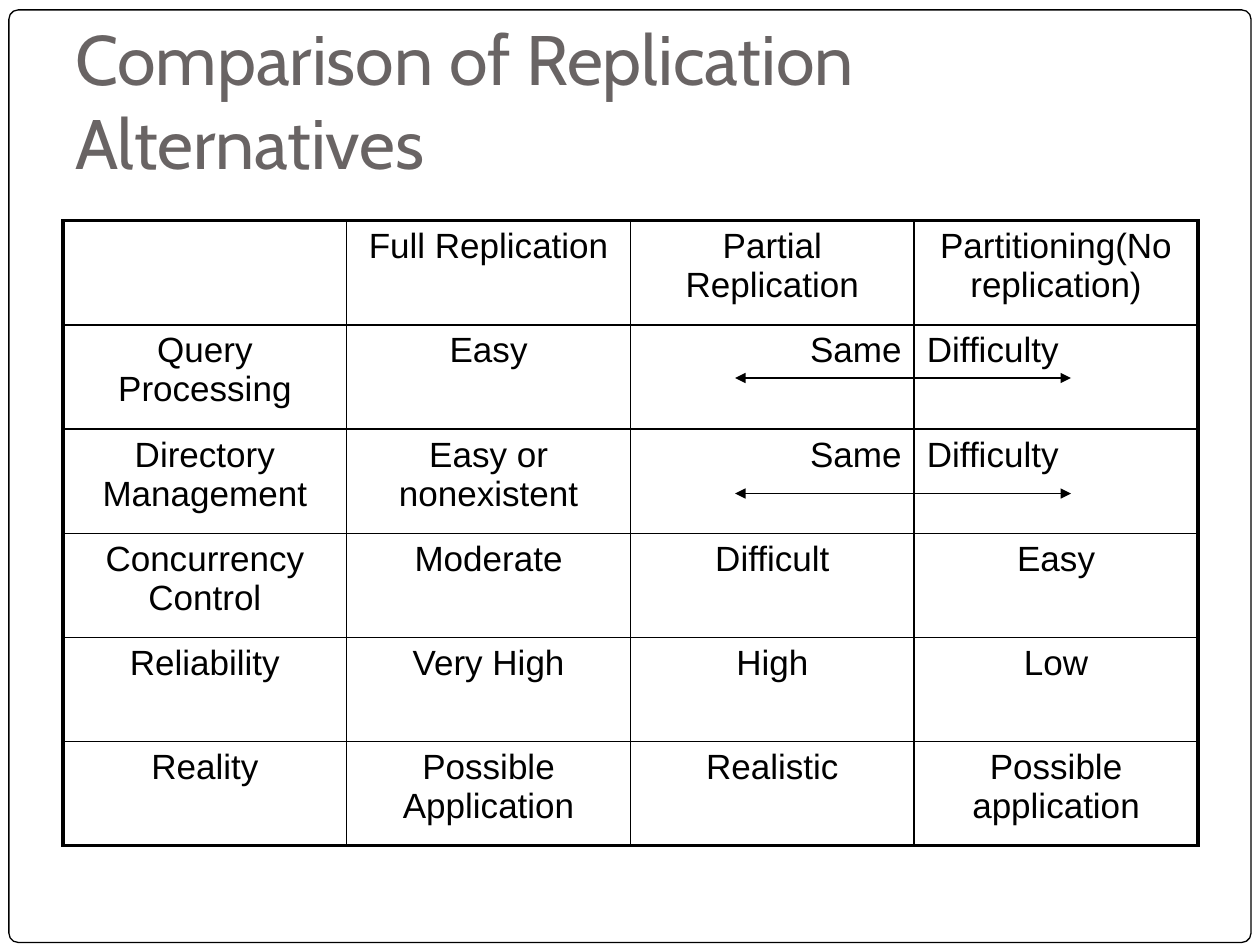
"""Build the slide that compares replication alternatives."""
from lxml.etree import SubElement as Sub
from pptx import Presentation
from pptx.dml.color import RGBColor
from pptx.enum.shapes import MSO_CONNECTOR as Link, MSO_SHAPE as Shape
from pptx.enum.text import MSO_ANCHOR as Anchor, PP_ALIGN as Align
from pptx.oxml.ns import qn
from pptx.util import Cm, Pt

BLACK = RGBColor(0x00, 0x00, 0x00)
WHITE = RGBColor(0xFF, 0xFF, 0xFF)
GREY = RGBColor(0x69, 0x64, 0x64)

TITLE = "Comparison of Replication Alternatives"
ROWS = [
    ("", "Full Replication", "Partial Replication", "Partitioning(No replication)"),
    ("Query Processing", "Easy", "Same", "Difficulty"),
    ("Directory Management", "Easy or nonexistent", "Same", "Difficulty"),
    ("Concurrency Control", "Moderate", "Difficult", "Easy"),
    ("Reliability", "Very High", "High", "Low"),
    ("Reality", "Possible Application", "Realistic", "Possible application"),
]
SIDES = {"Same": Align.RIGHT, "Difficulty": Align.LEFT}
LEFT, TOP, WIDE, HIGH = 1.27, 4.45, 5.72, 2.1
ARROWS = [7.62, 9.95]
THIN, THICK = 1, 2.25


def write(frame, text, size=20, font="Arial", color=BLACK, align=Align.CENTER):
    """Put text in a frame with its format."""
    para = frame.paragraphs[0]
    para.alignment = align
    run = para.add_run()
    run.text = text
    run.font.size = Pt(size)
    run.font.name = font
    run.font.color.rgb = color


def edge(cell, side, width):
    """Draw one border of a cell."""
    props = cell._tc.get_or_add_tcPr()
    line = Sub(props, qn(f"a:ln{side}"), w=str(Pt(width)))
    Sub(Sub(line, qn("a:solidFill")), qn("a:srgbClr"), val=str(BLACK))


def add_frame(slide):
    """Add the rounded frame around the slide."""
    box = slide.shapes.add_shape(
        Shape.ROUNDED_RECTANGLE, Cm(0.18), Cm(0.2), Cm(25.04), Cm(18.8))
    box.adjustments[0] = 0.01
    box.shadow.inherit = False
    box.fill.solid()
    box.fill.fore_color.rgb = WHITE
    box.line.color.rgb = BLACK
    box.line.width = Pt(0.75)


def add_title(slide):
    """Add the title."""
    box = slide.shapes.add_textbox(Cm(LEFT), Cm(0.76), Cm(22.86), Cm(3.18))
    frame = box.text_frame
    frame.word_wrap = True
    frame.vertical_anchor = Anchor.BOTTOM
    frame.margin_bottom = Cm(0.25)
    write(frame, TITLE, size=40, font="Cabin", color=GREY, align=Align.LEFT)


def add_grid(slide):
    """Add the table with a thick outer border."""
    down, across = len(ROWS), len(ROWS[0])
    table = slide.shapes.add_table(
        down, across, Cm(LEFT), Cm(TOP), Cm(WIDE * across), Cm(HIGH * down)).table
    table.first_row = table.horz_banding = False
    for col in table.columns:
        col.width = Cm(WIDE)
    for y, row in enumerate(ROWS):
        table.rows[y].height = Cm(HIGH)
        for x, text in enumerate(row):
            cell = table.cell(y, x)
            outer = {"L": x == 0, "R": x == across - 1, "T": y == 0, "B": y == down - 1}
            for side, thick in outer.items():
                edge(cell, side, THICK if thick else THIN)
            cell.fill.background()
            if text:
                write(cell.text_frame, text, align=SIDES.get(text, Align.CENTER))


def add_arrow(slide, y):
    """Add a level arrow with two heads."""
    arrow = slide.shapes.add_connector(
        Link.STRAIGHT, Cm(14.82), Cm(y), Cm(21.59), Cm(y))
    arrow.line.color.rgb = BLACK
    arrow.line.width = Pt(0.75)
    props = arrow._element.spPr
    for end in ("a:headEnd", "a:tailEnd"):
        Sub(props.find(qn("a:ln")), qn(end), type="triangle")
    Sub(props, qn("a:effectLst"))


def main():
    """Build and save the deck."""
    deck = Presentation()
    deck.slide_width, deck.slide_height = Cm(25.4), Cm(19.05)
    slide = deck.slides.add_slide(deck.slide_layouts[6])
    add_frame(slide)
    add_title(slide)
    add_grid(slide)
    for y in ARROWS:
        add_arrow(slide, y)
    deck.save("out.pptx")


if __name__ == "__main__":
    main()
